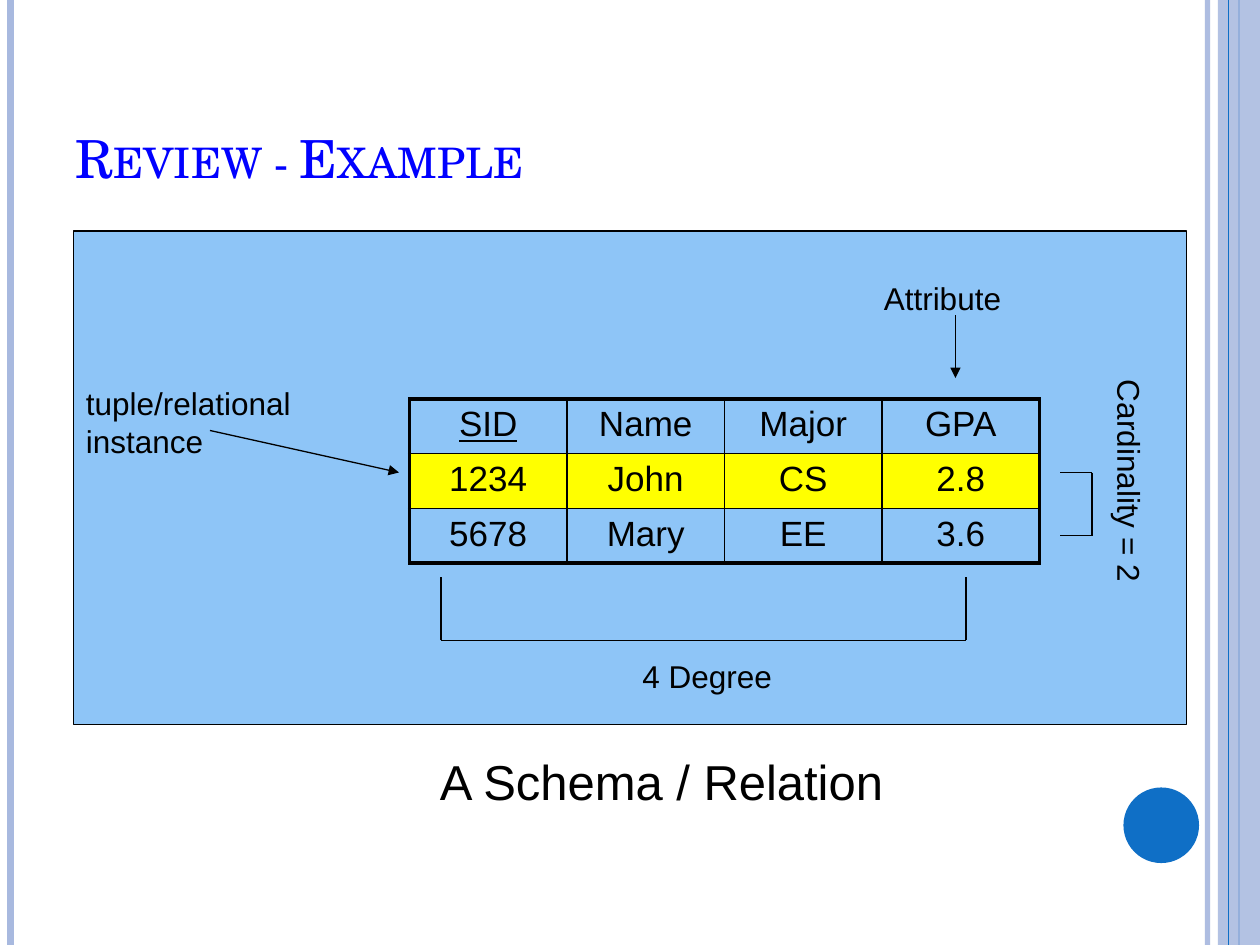
from itertools import pairwise

from lxml.etree import SubElement
from pptx import Presentation
from pptx.dml.color import RGBColor
from pptx.enum.shapes import MSO_CONNECTOR, MSO_SHAPE
from pptx.enum.text import MSO_ANCHOR, PP_ALIGN
from pptx.oxml.ns import qn
from pptx.util import Inches, Pt

THEME = {
    "ink": "000000", "title": "0000FF", "panel": "8EC5F7", "highlight": "FFFF00",
    "band": "A8B9DF", "accent": "0F6FC6",
    "body_font": "Arial", "title_font": "TeX Gyre Schola",
    "title_size": 30, "caption_size": 28, "table_size": 20, "label_size": 18,
    "thin": 0.75, "inner": 1, "outer": 2.25,
}
WIDTH, HEIGHT = 10, 7.5
COLUMNS, ROWS = 120, 90

RECORDS = [
    ("SID", "Name", "Major", "GPA"),
    ("1234", "John", "CS", "2.8"),
    ("5678", "Mary", "EE", "3.6"),
]
KEY_FIELD, HIGHLIGHTED_ROW = "SID", 1
TABLE_CORNER, FIELD_COLUMNS, RECORD_ROWS = (39, 38), 15, 4.95
PANEL = (7, 22, 106, 47)
PAGE_DOT = (107, 75, 7.2, 7.2)
SIDE_BAND = (116, 0, 4, ROWS)
TITLE = ("Review - Example", (6, 3.6, 98, 15))
CAPTION = ("A Schema / Relation", (38, 71, 50, 6.8))
LABELS = [
    ("tuple/relational instance", (7, 36, 25, 8.4), 0),
    ("Attribute", (83, 26, 19, 4.8), 0),
    ("4 Degree", (60, 62, 17, 4.8), 0),
    ("Cardinality = 2", (91.5, 47.5, 31, 6), 90),
]
ARROWS = [((20, 41), (38, 45)), ((91, 30), (91, 36))]
BRACKETS = [
    [(42, 55), (42, 61), (92, 61), (92, 55)],
    [(101, 45), (104, 45), (104, 51), (101, 51)],
]
BACK_STRIPES = [(115, "band", 3, 93), (1, "band", 4.5, 100), (118, "accent", 1.5, 100)]
FRONT_STRIPE = (117, "accent", 0.75, 100)


def across(columns):
    return Inches(WIDTH * columns / COLUMNS)


def down(rows):
    return Inches(HEIGHT * rows / ROWS)


def place(area):
    left, top, width, height = area
    return across(left), down(top), across(width), down(height)


def color(name):
    return RGBColor.from_string(THEME[name])


def set_alpha(fill_format, percent):
    tint = fill_format._xPr.find(".//" + qn("a:srgbClr"))
    SubElement(tint, qn("a:alpha"), val=str(percent * 1000))


def add_line(page, start, end, tint="ink", weight=THEME["thin"], arrow=False, alpha=100):
    line = page.shapes.add_connector(
        MSO_CONNECTOR.STRAIGHT, across(start[0]), down(start[1]), across(end[0]), down(end[1]))
    line.line.color.rgb = color(tint)
    line.line.width = Pt(weight)
    if alpha < 100:
        set_alpha(line.line.fill, alpha)
    if arrow:
        SubElement(line.line._get_or_add_ln(), qn("a:tailEnd"), type="triangle")
    SubElement(line._element.spPr, qn("a:effectLst"))


def add_stripe(page, stripe):
    column, tint, weight, alpha = stripe
    add_line(page, (column, 0), (column, ROWS), tint, weight, alpha=alpha)


def add_block(page, kind, area, tint, outline=None, alpha=100):
    block = page.shapes.add_shape(kind, *place(area))
    block.shadow.inherit = False
    block.fill.solid()
    block.fill.fore_color.rgb = color(tint)
    if alpha < 100:
        set_alpha(block.fill, alpha)
    if outline:
        block.line.color.rgb = color(outline)
        block.line.width = Pt(THEME["thin"])
    else:
        block.line.fill.background()


def write(frame, text, size, font="body_font", tint="ink", align=PP_ALIGN.LEFT):
    frame.text = text
    para = frame.paragraphs[0]
    para.alignment = align
    span = para.runs[0]
    span.font.name = THEME[font]
    span.font.size = Pt(THEME[size])
    span.font.color.rgb = color(tint)
    return span


def add_text(page, text, area, size, rotation=0, anchor=MSO_ANCHOR.TOP, **style):
    box = page.shapes.add_textbox(*place(area))
    box.rotation = rotation
    box.text_frame.word_wrap = True
    box.text_frame.vertical_anchor = anchor
    return write(box.text_frame, text, size, **style)


def add_border(cell, side, weight):
    border = SubElement(cell._tc.get_or_add_tcPr(), qn("a:" + side), w=str(Pt(weight)))
    fill = SubElement(border, qn("a:solidFill"))
    SubElement(fill, qn("a:srgbClr"), val=THEME["ink"])


def add_records(page):
    row_count, field_count = len(RECORDS), len(RECORDS[0])
    area = (*TABLE_CORNER, FIELD_COLUMNS * field_count, RECORD_ROWS * row_count)
    table = page.shapes.add_table(row_count, field_count, *place(area)).table
    table.first_row = table.horz_banding = False
    for r, record in enumerate(RECORDS):
        for c, value in enumerate(record):
            cell = table.cell(r, c)
            span = write(cell.text_frame, value, "table_size", align=PP_ALIGN.CENTER)
            if value == KEY_FIELD:
                span.font.underline = True
            edges = {"lnL": c == 0, "lnR": c == field_count - 1,
                     "lnT": r == 0, "lnB": r == row_count - 1}
            for side, is_outer in edges.items():
                add_border(cell, side, THEME["outer" if is_outer else "inner"])
            if r == HIGHLIGHTED_ROW:
                cell.fill.solid()
                cell.fill.fore_color.rgb = color("highlight")
            else:
                cell.fill.background()


def main():
    deck = Presentation()
    deck.slide_width, deck.slide_height = Inches(WIDTH), Inches(HEIGHT)
    page = deck.slides.add_slide(deck.slide_layouts[6])

    for stripe in BACK_STRIPES:
        add_stripe(page, stripe)
    add_block(page, MSO_SHAPE.RECTANGLE, SIDE_BAND, "band", alpha=87)
    add_stripe(page, FRONT_STRIPE)
    add_block(page, MSO_SHAPE.OVAL, PAGE_DOT, "accent")

    heading = add_text(page, *TITLE, "title_size", anchor=MSO_ANCHOR.BOTTOM,
                       font="title_font", tint="title")
    heading.font._element.set("cap", "small")

    add_block(page, MSO_SHAPE.RECTANGLE, PANEL, "panel", outline="ink")
    add_records(page)
    for start, end in ARROWS:
        add_line(page, start, end, arrow=True)
    for bracket in BRACKETS:
        for start, end in pairwise(bracket):
            add_line(page, start, end)
    for text, area, rotation in LABELS:
        add_text(page, text, area, "label_size", rotation)
    add_text(page, *CAPTION, "caption_size", align=PP_ALIGN.CENTER)

    deck.save("out.pptx")


if __name__ == "__main__":
    main()
